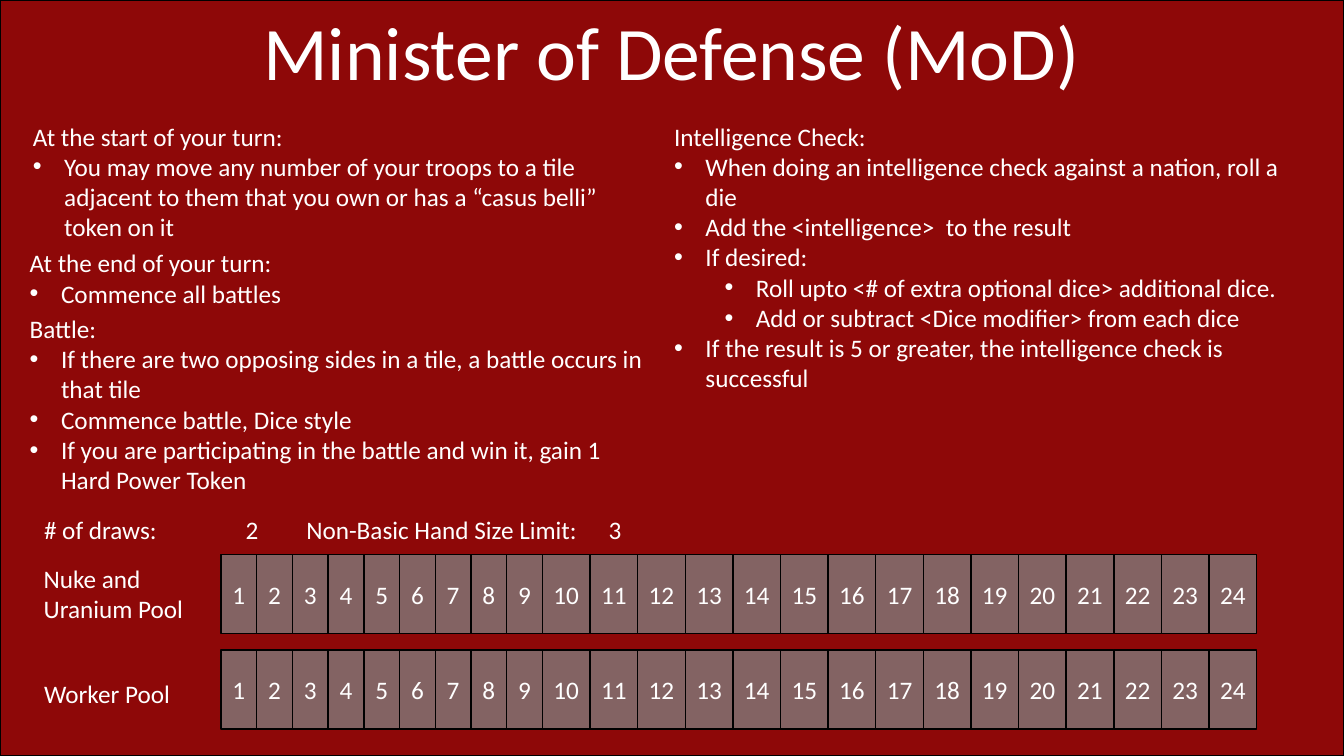
from lxml.etree import SubElement
from pptx import Presentation
from pptx.dml.color import RGBColor
from pptx.enum.shapes import MSO_SHAPE as Shape
from pptx.enum.text import MSO_ANCHOR as Anchor, MSO_AUTO_SIZE as AutoSize, PP_ALIGN as Align
from pptx.oxml.ns import qn
from pptx.util import Cm, Pt

RED, GREY, BLACK, WHITE = "8E0808", "808080", "000000", "FFFFFF"
SLIDE_SIZE = (33.87, 19.05)
TITLE = ("Minister of Defense (MoD)", (6.27, 0, 21.31, 2.57))

# Box in cm (left, top, width, height), heading, then (level, bullet text)
RULES = [
    ((0.58, 2.92, 16.15, 3.33), "At the start of your turn:", [
        (0, "You may move any number of your troops to a tile adjacent to them "
            "that you own or has a “casus belli” token on it")]),
    ((16.74, 2.92, 16.15, 7.19), "Intelligence Check:", [
        (0, "When doing an intelligence check against a nation, roll a die"),
        (0, "Add the <intelligence>  to the result"),
        (0, "If desired:"),
        (1, "Roll upto <# of extra optional dice> additional dice."),
        (1, "Add or subtract <Dice modifier> from each dice"),
        (0, "If the result is 5 or greater, the intelligence check is successful")]),
    ((0.5, 7.77, 16.15, 6.4), "Battle:", [
        (0, "If there are two opposing sides in a tile, a battle occurs in that tile"),
        (0, "Commence battle, Dice style"),
        (0, "If you are participating in the battle and win it, "
            "gain 1 Hard Power Token")]),
    ((0.5, 6.12, 16.15, 1.8), "At the end of your turn:", [
        (0, "Commence all battles")]),
]

# Box in cm, label, value, tab stop of the value in cm
LIMITS = [
    ((0.86, 12.84, 8.76, 1.02), "# of draws:", 2, 5.08),
    ((7.47, 12.84, 8.76, 1.02), "Non-Basic Hand Size Limit:", 3, 7.62),
]

# Label, its box in cm, top of the track in cm
POOLS = [
    ("Nuke and Uranium Pool", (0.85, 14.07, 4.98, 1.8), 13.98),
    ("Worker Pool", (0.86, 16.97, 4.98, 1.02), 16.38),
]
TRACK_LEFT, CELL_HEIGHT, CELL_COUNT = 5.57, 1.99, 24
NARROW, WIDE = 0.9, 1.2  # one-digit and two-digit cells

BULLET_HANG, LEVEL_STEP = 0.79, 1.27


def color(hex_text):
    return RGBColor.from_string(hex_text)


def write(para, text, size=18):
    span = para.add_run()
    span.text = text
    for name, value in {"name": "Calibri", "size": Pt(size)}.items():
        setattr(span.font, name, value)
    span.font.color.rgb = color(WHITE)


def add_bullet(para, level):
    para.level = level
    props = para._p.get_or_add_pPr()
    props.set("marL", str(Cm(BULLET_HANG + level * LEVEL_STEP)))
    props.set("indent", str(-Cm(BULLET_HANG)))
    SubElement(props, qn("a:buFont")).set("typeface", "Arial")
    SubElement(props, qn("a:buChar")).set("char", "•")


def add_tab_stop(para, position):
    stops = SubElement(para._p.get_or_add_pPr(), qn("a:tabLst"))
    stop = SubElement(stops, qn("a:tab"))
    stop.set("pos", str(Cm(position)))
    stop.set("algn", "l")


def add_text(page, box, text, size=18, wrap=True):
    """Add a text box with one paragraph and return its text frame."""
    frame = page.shapes.add_textbox(*map(Cm, box)).text_frame
    frame.word_wrap = wrap
    frame.auto_size = AutoSize.SHAPE_TO_FIT_TEXT
    write(frame.paragraphs[0], text, size)
    return frame


def add_rect(page, box, fill):
    rect = page.shapes.add_shape(Shape.RECTANGLE, *map(Cm, box))
    rect.shadow.inherit = False
    rect.fill.solid()
    rect.fill.fore_color.rgb = color(fill)
    rect.line.color.rgb = color(BLACK)
    rect.line.width = Pt(1)
    return rect


def add_cell(page, box, number):
    cell = add_rect(page, box, GREY)
    tint = cell.fill._xPr.find(qn("a:solidFill"))[0]
    SubElement(tint, qn("a:alpha")).set("val", "76000")
    frame = cell.text_frame
    layout = {"margin_left": 0, "margin_right": 0, "vertical_anchor": Anchor.MIDDLE}
    for name, value in layout.items():
        setattr(frame, name, value)
    frame.paragraphs[0].alignment = Align.CENTER
    write(frame.paragraphs[0], str(number))


def add_track(page, top):
    left = TRACK_LEFT
    for number in range(1, CELL_COUNT + 1):
        width = NARROW if number < 10 else WIDE
        add_cell(page, (left, top, width, CELL_HEIGHT), number)
        left += width


def main():
    deck = Presentation()
    deck.slide_width, deck.slide_height = map(Cm, SLIDE_SIZE)
    page = deck.slides.add_slide(deck.slide_layouts[6])

    add_rect(page, (0, 0, *SLIDE_SIZE), RED)
    title, title_box = TITLE
    frame = add_text(page, title_box, title, size=54, wrap=False)
    frame.paragraphs[0].alignment = Align.CENTER

    for box, heading, bullets in RULES:
        frame = add_text(page, box, heading)
        for level, text in bullets:
            para = frame.add_paragraph()
            add_bullet(para, level)
            write(para, text)

    for box, label, value, position in LIMITS:
        frame = add_text(page, box, f"{label}\t{value}")
        add_tab_stop(frame.paragraphs[0], position)

    for label, box, top in POOLS:
        add_text(page, box, label)
        add_track(page, top)

    deck.save("out.pptx")


if __name__ == "__main__":
    main()
